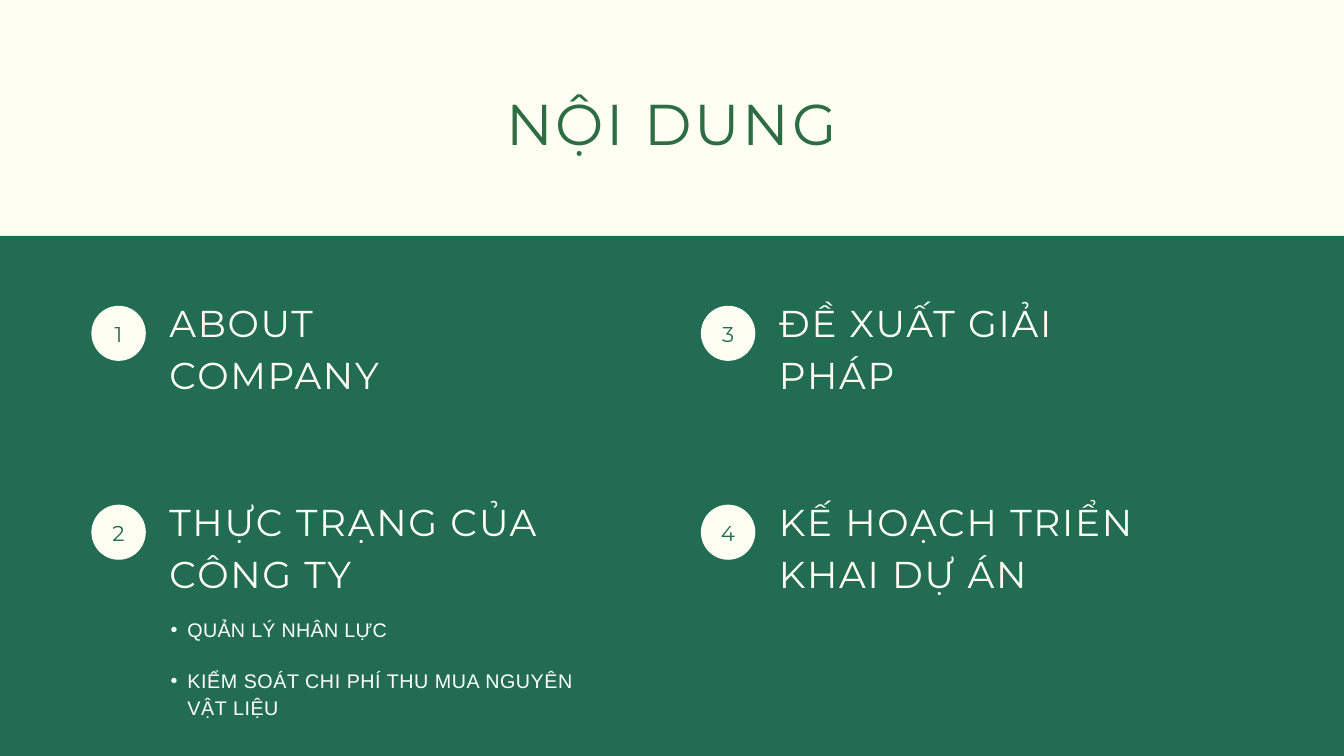
import pptx
import pptx.dml.color
import pptx.enum.shapes
import pptx.enum.text
import pptx.oxml
import pptx.oxml.ns
import pptx.util

Inches, Pt = pptx.util.Inches, pptx.util.Pt
ALIGN = pptx.enum.text.PP_ALIGN
ANCHOR = pptx.enum.text.MSO_ANCHOR
SHAPE = pptx.enum.shapes.MSO_SHAPE

CREAM, GREEN, TITLE_GREEN, WHITE = "FFFEF2", "216C53", "2C6D44", "FFFFFF"
TITLE = {"size": 61.6, "leading": 86.2, "color": TITLE_GREEN, "spacing": 3, "align": ALIGN.CENTER}
HEADING = {"size": 40, "leading": 56, "color": CREAM, "spacing": 1.9}
NUMBER = {"size": 23, "leading": 32.2, "color": GREEN, "align": ALIGN.CENTER}
BULLET = {"size": 21.1, "color": WHITE, "font": "Arial"}

ITEMS = ["ABOUT COMPANY", "THỰC TRẠNG CỦA CÔNG TY", "ĐỀ XUẤT GIẢI PHÁP", "KẾ HOẠCH TRIỂN KHAI DỰ ÁN"]
HEADING_WIDTHS = [5.01, 6.32, 5.01, 5.98]
BULLETS = [
    ("QUẢN LÝ NHÂN LỰC", {"leading": 25.3, "spacing": 0.3}),
    ("KIỂM SOÁT CHI PHÍ THU MUA NGUYÊN VẬT LIỆU", {"leading": 29.5, "spacing": 0.6, "before": 25.3}),
]


def rgb(value):
    """Turn a hex string into a colour."""
    return pptx.dml.color.RGBColor.from_string(value)


def set_frame(tf, **values):
    """Make a text frame wrap without margins, then apply the given values."""
    defaults = {"word_wrap": True, "margin_left": 0, "margin_right": 0, "margin_top": 0, "margin_bottom": 0}
    for name, value in (defaults | values).items():
        setattr(tf, name, value)


def write(p, text, style):
    """Fill a paragraph with one run in the given style."""
    paragraph_values = {
        "alignment": style.get("align", ALIGN.LEFT),
        "line_spacing": Pt(style["leading"]),
        "space_before": Pt(style.get("before", 0)),
    }
    for name, value in paragraph_values.items():
        setattr(p, name, value)
    r = p.add_run()
    r.text = text
    for name, value in {"name": style.get("font", "Montserrat"), "size": Pt(style["size"])}.items():
        setattr(r.font, name, value)
    r.font.color.rgb = rgb(style["color"])
    if "spacing" in style:
        r._r.get_or_add_rPr().set("spc", str(round(style["spacing"] * 100)))


def add_text(s, box, text, style):
    """Place a text box with one styled paragraph."""
    tf = s.shapes.add_textbox(*map(Inches, box)).text_frame
    set_frame(tf)
    write(tf.paragraphs[0], text, style)


def add_filled(s, kind, box, color):
    """Place a preset shape with a plain fill."""
    sp = s.shapes.add_shape(kind, *map(Inches, box))
    sp.shadow.inherit = False
    sp.fill.solid()
    sp.fill.fore_color.rgb = rgb(color)
    sp.line.fill.background()
    return sp


def add_item(s, box, number, text):
    """Place a numbered disc with its heading beside it."""
    left, top, width, height = box
    disc = add_filled(s, SHAPE.OVAL, (left, top + 0.2, 0.81, 0.82), CREAM)
    set_frame(disc.text_frame, vertical_anchor=ANCHOR.MIDDLE, margin_bottom=Inches(0.05))
    write(disc.text_frame.paragraphs[0], str(number), NUMBER)
    add_text(s, (left + 1.16, top, width, height), text, HEADING)


def add_bullets(s, box, bullets):
    """Place a bulleted list."""
    tf = s.shapes.add_textbox(*map(Inches, box)).text_frame
    set_frame(tf)
    for i, (text, style) in enumerate(bullets):
        p = tf.add_paragraph() if i else tf.paragraphs[0]
        p.level = 1
        pPr = p._p.get_or_add_pPr()
        pPr.set("marL", str(Inches(0.5)))
        pPr.set("indent", str(Inches(-0.25)))
        for tag, name, value in (("a:buFont", "typeface", "Arial"), ("a:buChar", "char", "•")):
            pPr.append(pptx.oxml.parse_xml(f'<{tag} {pptx.oxml.ns.nsdecls("a")} {name}="{value}"/>'))
        write(p, text, BULLET | style)


def add_contents(s, box):
    """Place the green panel, its grid of items and the bullets."""
    left, top, _, _ = box
    add_filled(s, SHAPE.RECTANGLE, box, GREEN)
    for i, (text, width) in enumerate(zip(ITEMS, HEADING_WIDTHS)):
        column, row = divmod(i, 2)
        item_box = (left + 1.36 + 9.07 * column, top + 0.84 + 2.96 * row, width, 1.5)
        add_item(s, item_box, i + 1, text)
    add_bullets(s, (left + 2.29, top + 5.68, 6.78, 1.48), BULLETS)


def main():
    """Build the contents slide."""
    prs = pptx.Presentation()
    prs.slide_width, prs.slide_height = Inches(20), Inches(11.25)
    s = prs.slides.add_slide(prs.slide_layouts[6])
    s.background.fill.solid()
    s.background.fill.fore_color.rgb = rgb(CREAM)
    add_contents(s, (0, 3.51, 20, 7.74))
    add_text(s, (4.37, 1.14, 11.25, 1.15), "NỘI DUNG", TITLE)
    prs.save("out.pptx")


if __name__ == "__main__":
    main()
